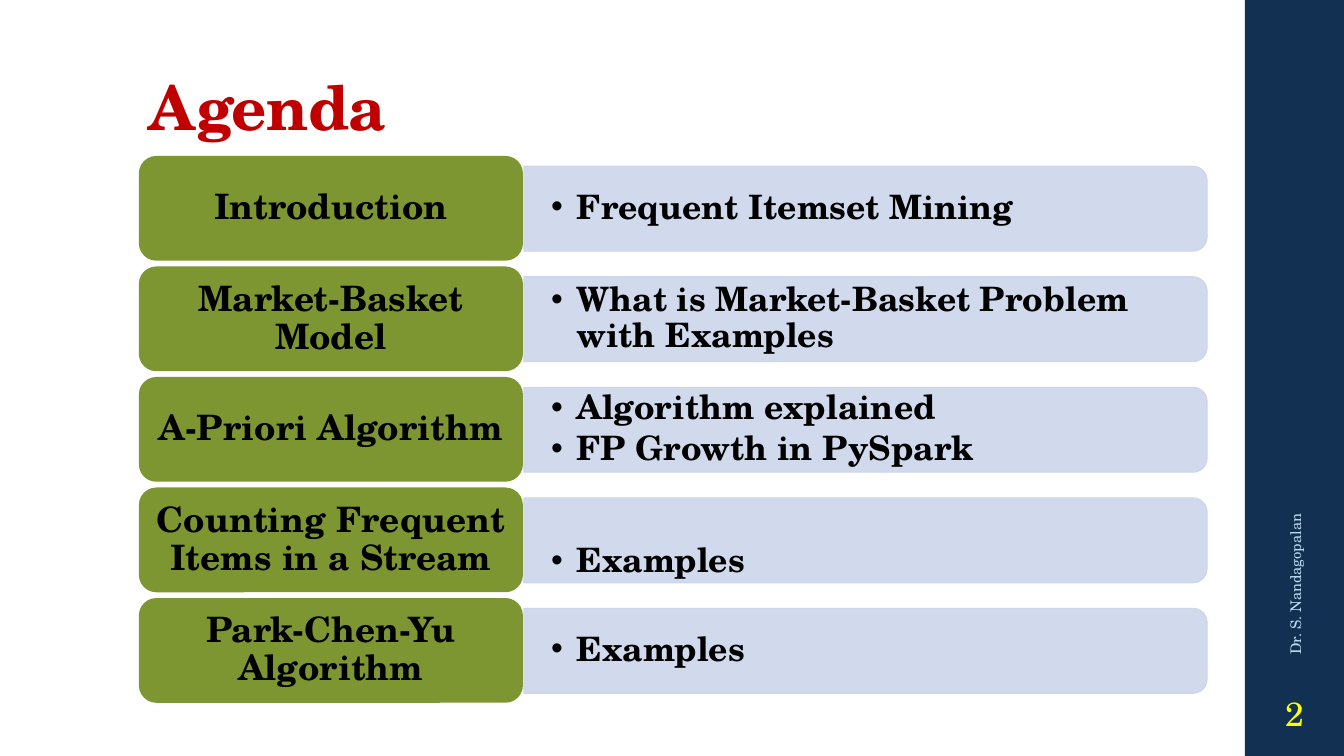
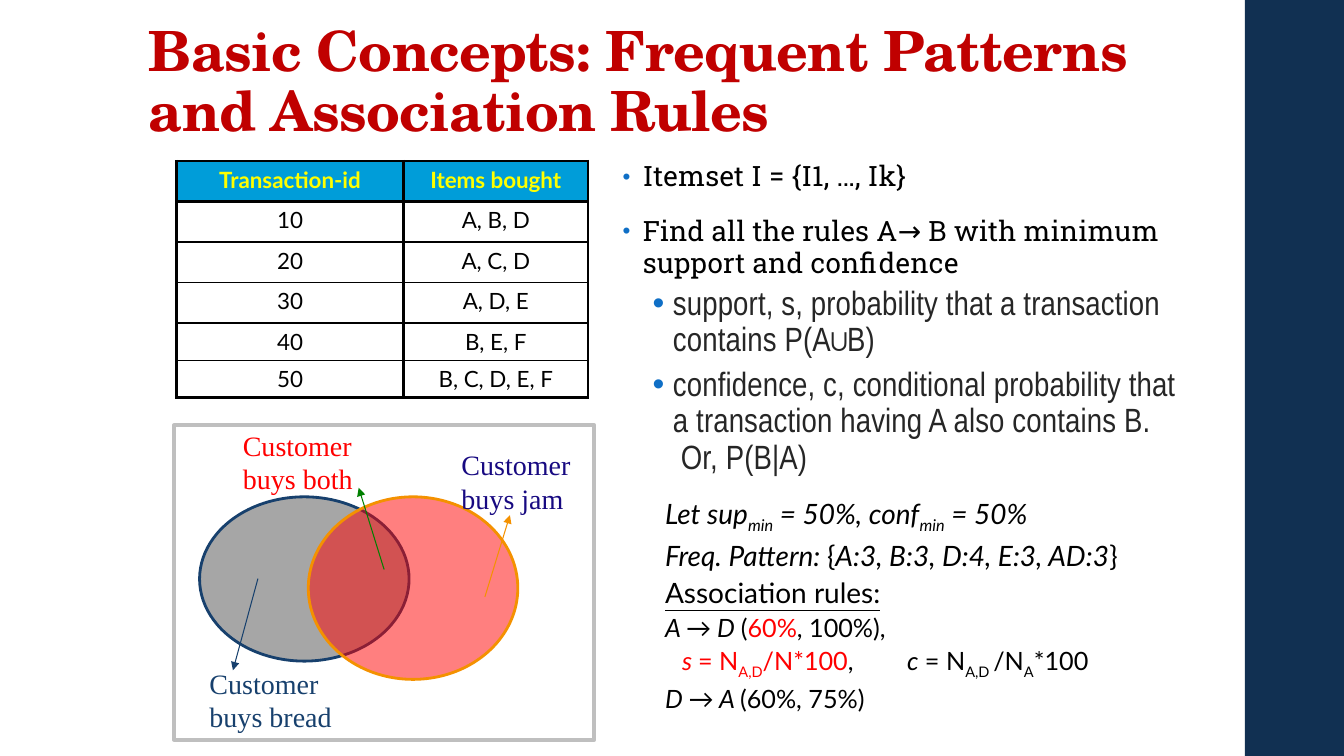
from dataclasses import dataclass, replace

from lxml import etree
from pptx import Presentation
from pptx import util as u
from pptx.dml.color import RGBColor
from pptx.enum import shapes, text
from pptx.oxml.ns import qn

Cm, Pt = u.Cm, u.Pt
SHAPE, ALIGN, ANCHOR = shapes.MSO_SHAPE, text.PP_ALIGN, text.MSO_ANCHOR


@dataclass(frozen=True)
class Style:
    font: str
    size: float
    color: str
    bold: bool = False
    spacing: int = 0  # hundredths of a point


@dataclass(frozen=True)
class Theme:
    navy: str = "113052"
    green: str = "7E9632"
    pale: str = "CCD5EA"
    bullet: str = "0F6FC6"
    header: str = "009DD9"
    black: str = "000000"
    red: str = "FF0000"
    bread: str = "17406D"
    jam: str = "F49100"
    both: str = "008000"
    gray: str = "A6A6A6"
    frame: str = "BFBFBF"
    title: Style = Style("TeX Gyre Schola", 44, "C00000", True, -50)
    topic: Style = Style("TeX Gyre Schola", 25, "000000", True)
    detail: Style = Style("TeX Gyre Schola", 24, "000000", True)
    author: Style = Style("TeX Gyre Schola", 10.5, "C1D8F2")
    number: Style = Style("TeX Gyre Schola", 24, "FFFF00")
    point: Style = Style("Roboto Slab", 20, "000000", spacing=10)
    subpoint: Style = Style("Arial Narrow", 24, "262626")
    formula: Style = Style("Lato", 20, "000000")
    rule: Style = Style("Lato", 18, "000000")
    label: Style = Style("Times New Roman", 20, "000000")
    head_cell: Style = Style("Lato", 16, "FFFF00", True)
    cell: Style = Style("Lato", 16, "000000")


T = Theme()


def rgb(color):
    return RGBColor.from_string(color)


def add_xml(parent, tag, **attrs):
    return etree.SubElement(parent, qn(tag), {k: str(v) for k, v in attrs.items()})


def format_run(r, style):
    f = r.font
    f.name, f.size, f.bold = style.font, Pt(style.size), style.bold
    f.color.rgb = rgb(style.color)
    if style.spacing:
        f._element.set("spc", str(style.spacing))


def format_paragraph(p, style, align=ALIGN.LEFT, spacing=1.0, before=0, after=0):
    p.alignment, p.line_spacing = align, spacing
    p.space_before, p.space_after = Pt(before), Pt(after)
    for r in p.runs:
        format_run(r, style)


def add_bullet(p, margin, hang, color, percent=100):
    pPr = p._p.get_or_add_pPr()
    pPr.set("marL", str(Cm(margin)))
    pPr.set("indent", str(-Cm(hang)))
    add_xml(add_xml(pPr, "a:buClr"), "a:srgbClr", val=color)
    add_xml(pPr, "a:buSzPct", val=percent * 1000)
    add_xml(pPr, "a:buFont", typeface="Arial")
    add_xml(pPr, "a:buChar", char="•")


def add_tabs(p, *stops):
    tabs = add_xml(p._p.get_or_add_pPr(), "a:tabLst")
    for stop in stops:
        add_xml(tabs, "a:tab", pos=Cm(stop), algn="l")


def add_marked_run(p, content, marks, style):
    """Marks: i italic, u underlined, r red, _ subscript."""
    r = p.add_run()
    r.text = content
    format_run(r, replace(style, color=T.red) if "r" in marks else style)
    r.font.italic, r.font.underline = "i" in marks, "u" in marks
    if "_" in marks:
        r.font._element.set("baseline", "-25000")


class Deck:
    def __init__(self):
        self.prs = Presentation()
        self.prs.slide_width, self.prs.slide_height = Cm(33.87), Cm(19.05)
        self.s = None

    def new_slide(self, title, size=T.title.size):
        self.s = self.prs.slides.add_slide(self.prs.slide_layouts[5])
        self.shape(SHAPE.RECTANGLE, 31.37, 0, 2.5, 19.05, T.navy)
        sp = self.s.shapes.title
        sp.left, sp.top, sp.width, sp.height = Cm(3.5), Cm(1.02), Cm(26.92), Cm(2.72)
        tf = sp.text_frame
        tf.text, tf.word_wrap = title, True
        tf.auto_size, tf.vertical_anchor = text.MSO_AUTO_SIZE.NONE, ANCHOR.BOTTOM
        format_paragraph(tf.paragraphs[0], replace(T.title, size=size), spacing=0.9)

    def shape(self, kind, x, y, w, h, fill=None, line=None, width=0.75, opacity=100):
        sp = self.s.shapes.add_shape(kind, Cm(x), Cm(y), Cm(w), Cm(h))
        sp.shadow.inherit = False
        if fill:
            sp.fill.solid()
            sp.fill.fore_color.rgb = rgb(fill)
            if opacity < 100:
                color = sp._element.spPr.find(qn("a:solidFill"))[0]
                add_xml(color, "a:alpha", val=opacity * 1000)
        else:
            sp.fill.background()
        if line:
            sp.line.color.rgb, sp.line.width = rgb(line), Pt(width)
        else:
            sp.line.fill.background()
        return sp

    def side_tab(self, x, y, w, h):
        """Bar with its two right corners rounded."""
        turn = (w - h) / 2
        sp = self.shape(SHAPE.ROUND_2_SAME_RECTANGLE, x + turn, y - turn, h, w,
                        T.pale, T.pale, opacity=90)
        sp.rotation = 90

    def text_box(self, x, y, w, h, content, style, anchor=ANCHOR.TOP, rotation=0, **fmt):
        sp = self.s.shapes.add_textbox(Cm(x), Cm(y), Cm(w), Cm(h))
        sp.rotation = rotation
        tf = sp.text_frame
        tf.word_wrap, tf.vertical_anchor, tf.text = True, anchor, content
        for p in tf.paragraphs:
            format_paragraph(p, style, **fmt)
        return tf

    def agenda_row(self, y, topic, details, drop=0):
        """Drop lowers the details within their bar."""
        self.side_tab(13.2, y + 0.26, 17.22, 2.14)
        tf = self.text_box(13.2, y + 0.37 + drop, 17.12, 1.9, details, T.detail,
                           ANCHOR.MIDDLE, spacing=0.9, after=3.6)
        tf.margin_left = tf.margin_right = Cm(0.69)
        for p in tf.paragraphs:
            add_bullet(p, 0.64, 0.64, T.black)
        sp = self.shape(SHAPE.ROUNDED_RECTANGLE, 3.5, y, 9.68, 2.64, T.green)
        tf = sp.text_frame
        tf.word_wrap, tf.vertical_anchor, tf.text = True, ANCHOR.MIDDLE, topic
        format_paragraph(tf.paragraphs[0], T.topic, ALIGN.CENTER, 0.9)

    def arrow(self, x1, y1, x2, y2, color):
        c = self.s.shapes.add_connector(shapes.MSO_CONNECTOR.STRAIGHT,
                                        Cm(x1), Cm(y1), Cm(x2), Cm(y2))
        c.line.color.rgb, c.line.width = rgb(color), Pt(0.75)
        add_xml(c.line._get_or_add_ln(), "a:tailEnd", type="triangle")
        add_xml(c._element.spPr, "a:effectLst")

    def bullets(self, x, y, w, h, items):
        """Items are (level, text) pairs."""
        tf = self.text_box(x, y, w, h, "\n".join(t for _, t in items), T.point)
        for i, (p, (level, _)) in enumerate(zip(tf.paragraphs, items)):
            if level:
                add_bullet(p, 1.27, 0.51, T.bullet)
                format_paragraph(p, T.subpoint, spacing=0.9, before=3, after=3)
            else:
                add_bullet(p, 0.51, 0.51, T.bullet, 80)
                format_paragraph(p, T.point, spacing=0.95, before=14 if i else 0, after=2)

    def formulas(self, x, y, w, h, lines):
        """Lines are (style, runs) pairs, each run a (text, marks) pair."""
        tf = self.text_box(x, y, w, h, "", T.formula)
        for i, (style, runs) in enumerate(lines):
            p = tf.add_paragraph() if i else tf.paragraphs[0]
            p.line_spacing = 1.1
            if runs[0][0].startswith("\t"):
                add_tabs(p, 0.43, 6.1)
            for content, marks in runs:
                add_marked_run(p, content, marks, style)

    def table(self, x, y, widths, heights, rows):
        t = self.s.shapes.add_table(len(rows), len(widths), Cm(x), Cm(y),
                                    Cm(sum(widths)), Cm(sum(heights))).table
        t.first_row = t.horz_banding = False
        for col, w in zip(t.columns, widths):
            col.width = Cm(w)
        for i, (row, h, values) in enumerate(zip(t.rows, heights, rows)):
            row.height = Cm(h)
            top = 2.25 if i < 2 else 1
            bottom = 2.25 if i in (0, len(rows) - 1) else 1
            for cell, value in zip(row.cells, values):
                cell.text = value
                format_paragraph(cell.text_frame.paragraphs[0],
                                 T.cell if i else T.head_cell, ALIGN.CENTER)
                self.cell_borders(cell, L=2.25, R=2.25, T=top, B=bottom)
                if i:
                    cell.fill.background()
                else:
                    cell.fill.solid()
                    cell.fill.fore_color.rgb = rgb(T.header)

    @staticmethod
    def cell_borders(cell, **widths):
        tcPr = cell._tc.get_or_add_tcPr()
        for side, width in widths.items():
            ln = add_xml(tcPr, f"a:ln{side}", w=Pt(width))
            add_xml(add_xml(ln, "a:solidFill"), "a:srgbClr", val=T.black)


def agenda(d):
    d.new_slide("Agenda")
    rows = [
        ("Introduction", "Frequent Itemset Mining"),
        ("Market-Basket Model", "What is Market-Basket Problem with Examples"),
        ("A-Priori Algorithm", "Algorithm explained\nFP Growth in PySpark"),
        ("Counting Frequent Items in a Stream", "Examples", 0.55),
        ("Park-Chen-Yu Algorithm", "Examples"),
    ]
    for i, row in enumerate(rows):
        d.agenda_row(3.93 + 2.785 * i, *row)
    d.text_box(27.66, 11.25, 9.96, 1.02, "Dr. S. Nandagopalan", T.author,
               ANCHOR.MIDDLE, rotation=270)
    d.text_box(31.37, 17.15, 2.5, 1.65, "2", T.number, ANCHOR.MIDDLE, align=ALIGN.CENTER)


def basic_concepts(d):
    d.new_slide("Basic Concepts: Frequent Patterns and Association Rules", 39.6)
    d.bullets(15.44, 3.94, 15, 8.3, [
        (0, "Itemset I = {I1, …, Ik}"),
        (0, "Find all the rules A→ B with minimum support and confidence"),
        (1, "support, s, probability that a transaction contains P(A∪B)"),
        (1, "confidence, c, conditional probability that a transaction having A "
            "also contains B.\v Or, P(B|A)"),
    ])
    d.formulas(16.51, 12.3, 13.54, 5.84, [
        (T.formula, [("Let sup", "i"), ("min", "i_"), (" = 50%, conf", "i"),
                     ("min", "i_"), (" = 50%", "i")]),
        (T.formula, [("Freq. Pattern: ", "i"), ("{", ""),
                     ("A:3, B:3, D:4, E:3, AD:3", "i"), ("}", "")]),
        (T.formula, [("Association rules:", "u")]),
        (T.rule, [("A ", "i"), ("→", ""), (" D ", "i"), ("(", ""), ("60%", "r"),
                  (", 100%),", "")]),
        (T.rule, [("\ts ", "ir"), ("= N", "r"), ("A,D", "r_"), ("/N*100", "r"),
                  (",\t", ""), ("c", "i"), (" = N", ""), ("A,D ", "_"), ("/N", ""),
                  ("A", "_"), ("*100", "")]),
        (T.rule, [("D ", "i"), ("→", ""), (" A ", "i"), ("(60%, 75%)", "")]),
    ])
    d.shape(SHAPE.OVAL, 5.03, 12.52, 5.28, 4.14, T.gray, T.bread, 2)
    d.shape(SHAPE.OVAL, 7.77, 12.52, 5.28, 4.6, T.red, T.jam, 2, opacity=50)
    d.arrow(6.5, 14.58, 5.87, 16.89, T.bread)
    d.arrow(12.22, 15.04, 12.85, 12.98, T.jam)
    d.arrow(9.68, 14.35, 9.04, 12.29, T.both)
    for x, y, w, what, color in [(11.38, 11.15, 4.24, "jam", "170981"),
                                 (5.87, 10.67, 4.6, "both", T.red),
                                 (5.03, 16.66, 3.9, "bread", T.bread)]:
        d.text_box(x, y, w, 1.96, f"Customer\nbuys {what}", replace(T.label, color=color))
    d.shape(SHAPE.RECTANGLE, 4.39, 10.72, 10.59, 7.92, line=T.frame, width=3)
    d.table(4.45, 4.06, [5.72, 4.65], [1.02] * 4 + [0.94] * 2, [
        ("Transaction-id", "Items bought"),
        ("10", "A, B, D"),
        ("20", "A, C, D"),
        ("30", "A, D, E"),
        ("40", "B, E, F"),
        ("50", "B, C, D, E, F"),
    ])


def main():
    d = Deck()
    agenda(d)
    basic_concepts(d)
    d.prs.save("out.pptx")


if __name__ == "__main__":
    main()
